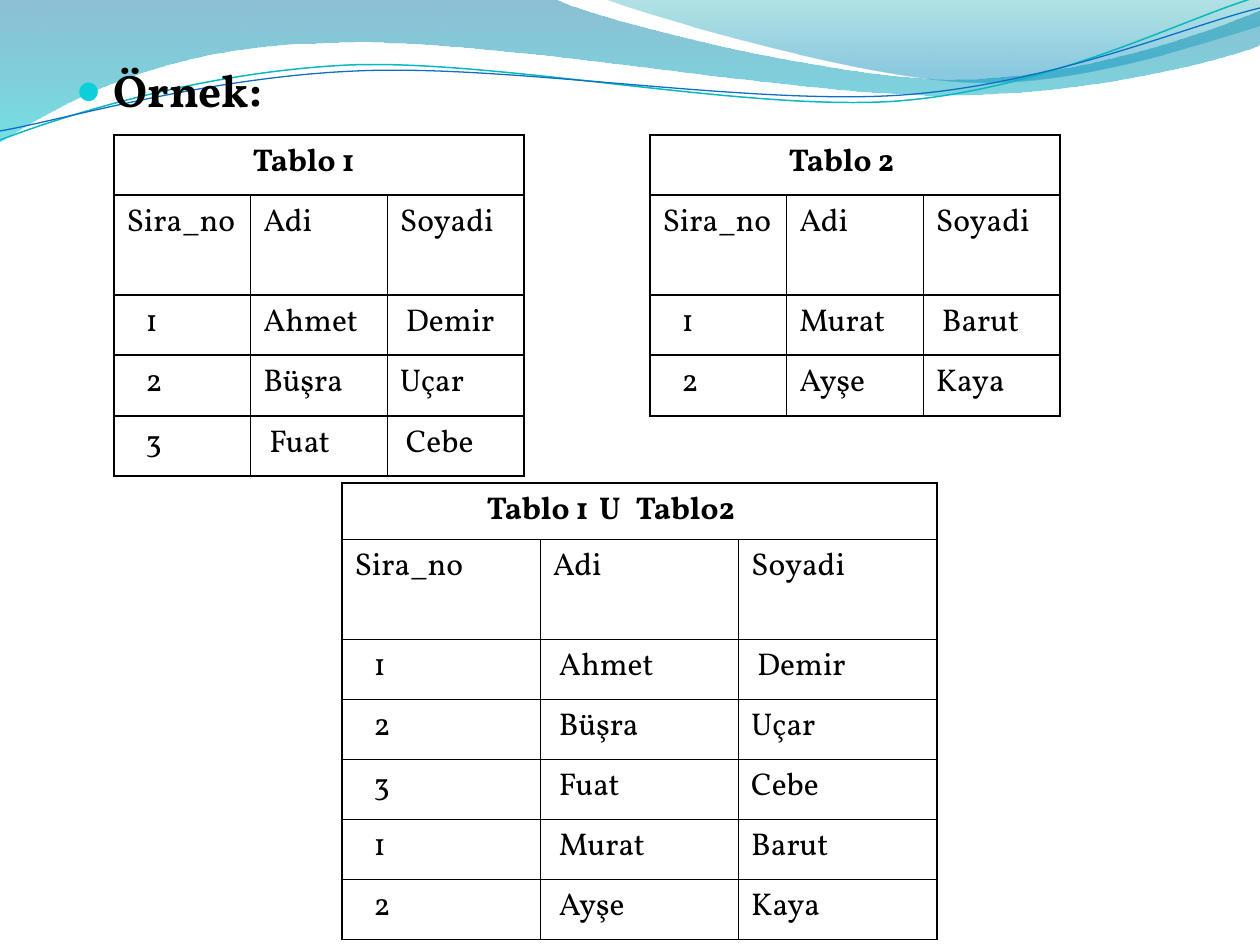
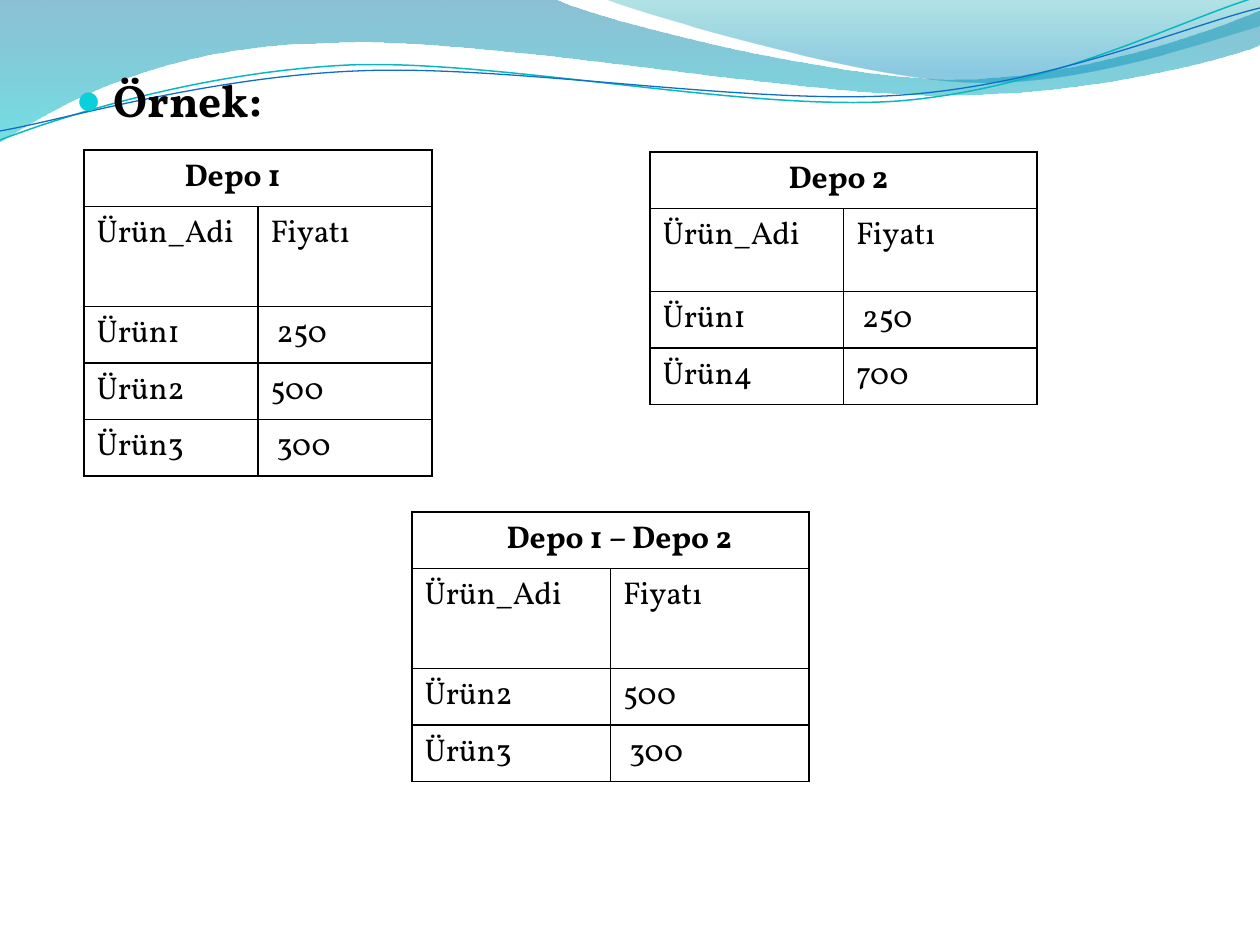
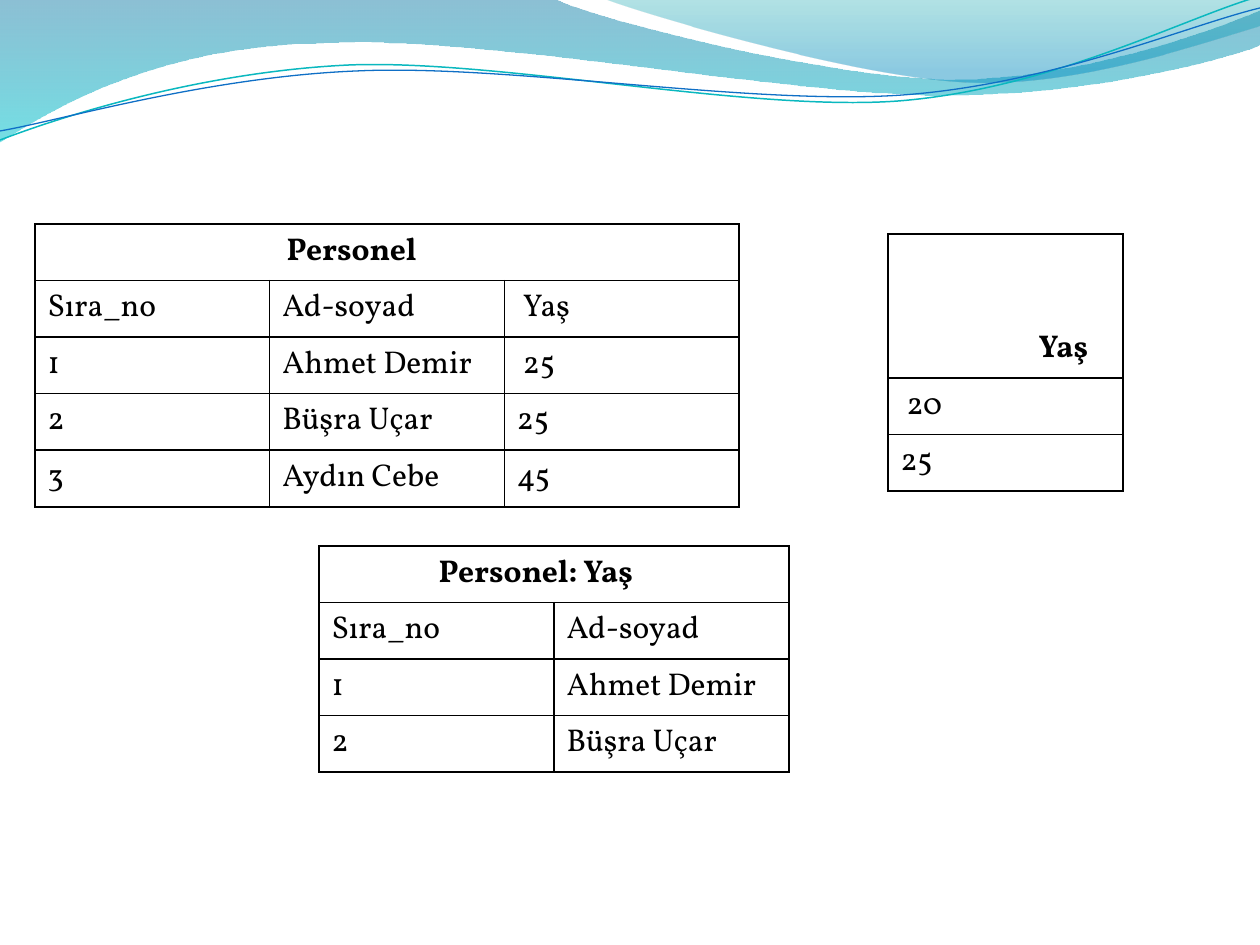
import dataclasses
import pptx
import pptx.dml.color
import pptx.enum.text
import pptx.oxml
import pptx.oxml.ns
import pptx.util

EMU_PER_PX = 914400 / 126
SLIDE_SIZE = (1260, 945)
NUDGE = 6
NUMBER_INDENT = 19
UNION = " U "


@dataclasses.dataclass(frozen=True)
class Theme:
    font: str = "Vollkorn"
    heading_size: int = 26
    table_size: int = 18
    text: str = "000000"
    bullet: str = "0BD0D9"
    border_width: int = 12700
    union_spacing: int = 240


THEME = Theme()

WAVES = [
    {
        "start": (0, 0),
        "segments": [
            [(554, -1)],
            [(600, 21), (837, 79), (955, 79)],
            [(1075, 79), (1207, 33), (1260, 11)],
            [(1261, 45)],
            [(1239, 55), (1096, 96), (940, 95)],
            [(784, 95), (481, 35), (324, 43)],
            [(163, 45), (58, 105), (-1, 142)],
        ],
        "gradient": [(0, "0074A1", 45), (1, "00C6CF", 55)],
    },
    {
        "start": (604, -1),
        "segments": [
            [(641, 14), (859, 78), (969, 82)],
            [(1079, 87), (1211, 40), (1260, 26)],
            [(1260, 0)],
        ],
        "gradient": [(0, "00A1A9", 30), (0.8, "008BBF", 45)],
    },
    {
        "start": (0, 140),
        "segments": [
            [(60, 117), (199, 72), (349, 65)],
            [(498, 59), (747, 112), (898, 101)],
            [(1050, 89), (1182, 19), (1257, -3)],
        ],
        "line": ("0AB8BF", 0.85),
    },
    {
        "start": (0, 131),
        "segments": [
            [(59, 121), (207, 77), (357, 71)],
            [(508, 64), (752, 106), (903, 95)],
            [(1053, 84), (1186, 26), (1260, 8)],
        ],
        "line": ("0F6FC6", 0.75),
    },
]


def numbered(number):
    return (str(number), NUMBER_INDENT)


def nudged(text):
    return (text, NUDGE)


PERSON_COLUMNS = ["Sira_no", "Adi", "Soyadi"]
PRODUCT_COLUMNS = ["Ürün_Adi", "Fiyatı"]

SLIDES = [
    {
        "heading": ("Örnek:", (63, 56, 1134, 789)),
        "tables": [
            {
                "title": ("Tablo 1", 126),
                "at": (114, 135, 410),
                "heights": [60, 100, 60, 61, 60],
                "rows": [
                    PERSON_COLUMNS,
                    [numbered(1), "Ahmet", nudged("Demir")],
                    [numbered(2), "Büşra", "Uçar"],
                    [numbered(3), nudged("Fuat"), nudged("Cebe")],
                ],
            },
            {
                "title": ("Tablo 2", 126),
                "at": (650, 135, 410),
                "heights": [60, 100, 60, 61],
                "rows": [
                    PERSON_COLUMNS,
                    [numbered(1), "Murat", nudged("Barut")],
                    [numbered(2), "Ayşe", "Kaya"],
                ],
            },
            {
                "title": ("Tablo 1 U Tablo2", 132),
                "at": (342, 483, 595),
                "heights": [56, 100, 60, 60, 60, 60, 60],
                "rows": [
                    PERSON_COLUMNS,
                    [numbered(1), nudged("Ahmet"), nudged("Demir")],
                    [numbered(2), nudged("Büşra"), "Uçar"],
                    [numbered(3), nudged("Fuat"), "Cebe"],
                    [numbered(1), nudged("Murat"), "Barut"],
                    [numbered(2), nudged("Ayşe"), "Kaya"],
                ],
            },
        ],
    },
    {
        "heading": ("Örnek:", (63, 66, 1134, 779)),
        "tables": [
            {
                "title": ("Depo 1", 88),
                "at": (84, 150, 348),
                "heights": [56, 100, 56, 56, 56],
                "rows": [
                    PRODUCT_COLUMNS,
                    ["Ürün1", nudged("250")],
                    ["Ürün2", "500"],
                    ["Ürün3", nudged("300")],
                ],
            },
            {
                "title": ("Depo 2", 126),
                "at": (650, 152, 387),
                "heights": [56, 83, 56, 56],
                "rows": [
                    PRODUCT_COLUMNS,
                    ["Ürün1", nudged("250")],
                    ["Ürün4", "700"],
                ],
            },
            {
                "title": ("Depo 1 – Depo 2", 82),
                "at": (412, 512, 397),
                "heights": [56, 100, 56, 56],
                "rows": [
                    PRODUCT_COLUMNS,
                    ["Ürün2", "500"],
                    ["Ürün3", nudged("300")],
                ],
            },
        ],
    },
    {
        "tables": [
            {
                "title": ("Personel", 239),
                "at": (35, 224, 704),
                "heights": [56, 56, 56, 56, 56],
                "rows": [
                    ["Sıra_no", "Ad-soyad", nudged("Yaş")],
                    ["1", "Ahmet Demir", nudged("25")],
                    ["2", "Büşra Uçar", "25"],
                    ["3", "Aydın Cebe", "45"],
                ],
            },
            {
                "title": ("Yaş", 138),
                "at": (888, 234, 235),
                "heights": [144, 56, 56],
                "rows": [[nudged("20")], ["25"]],
            },
            {
                "title": ("Personel: Yaş", 107),
                "at": (319, 546, 470),
                "heights": [56, 56, 56, 56],
                "rows": [
                    ["Sıra_no", "Ad-soyad"],
                    ["1", "Ahmet Demir"],
                    ["2", "Büşra Uçar"],
                ],
            },
        ],
    },
]


def px(length):
    return pptx.util.Emu(round(length * EMU_PER_PX))


def rgb(value):
    return pptx.dml.color.RGBColor.from_string(value)


def new_xml(tag, **attributes):
    element = pptx.oxml.parse_xml(f"<a:{tag} {pptx.oxml.ns.nsdecls('a')}/>")
    for name, value in attributes.items():
        element.set(name, str(value))
    return element


def add_xml(parent, tag, **attributes):
    element = new_xml(tag, **attributes)
    parent.append(element)
    return element


def set_font(paragraph, size, bold):
    paragraph.font.name = THEME.font
    paragraph.font.size = pptx.util.Pt(size)
    paragraph.font.bold = bold
    paragraph.font.color.rgb = rgb(THEME.text)


def bend_segments(shape, segments):
    lines = iter(list(shape.element.iter(pptx.oxml.ns.qn("a:lnTo"))))
    for segment in segments:
        group = [next(lines) for _ in segment]
        if len(group) == 3:
            curve = new_xml("cubicBezTo")
            group[0].addprevious(curve)
            for line in group:
                curve.append(line[0])
                line.getparent().remove(line)


def add_wave(shapes, wave):
    vertices = [(px(x), px(y)) for segment in wave["segments"] for x, y in segment]
    builder = shapes.build_freeform(*map(px, wave["start"]))
    builder.add_line_segments(vertices, close="gradient" in wave)
    shape = builder.convert_to_shape()
    bend_segments(shape, wave["segments"])
    shape.shadow.inherit = False
    if "gradient" in wave:
        shape.line.fill.background()
        shape.fill.gradient()
        shape.fill.gradient_angle = 270
        for stop, (position, color, _) in zip(shape.fill.gradient_stops, wave["gradient"]):
            stop.position = position
            stop.color.rgb = rgb(color)
        colors = shape.element.spPr.iter(pptx.oxml.ns.qn("a:srgbClr"))
        for element, (_, _, opacity) in zip(colors, wave["gradient"]):
            add_xml(element, "alpha", val=opacity * 1000)
    else:
        color, width = wave["line"]
        shape.fill.background()
        shape.line.color.rgb = rgb(color)
        shape.line.width = pptx.util.Pt(width)
    return shape


def add_waves_to_master(presentation, slide):
    master_tree = presentation.slide_master.shapes.element
    for index, wave in enumerate(WAVES):
        shape = add_wave(slide.shapes, wave)
        shape.element.nvSpPr.cNvPr.id = 100 + index
        master_tree.insert(2 + index, shape.element)


def format_heading(slide, text, box):
    title = slide.shapes.title.element
    title.getparent().remove(title)
    body = slide.placeholders[1]
    body.left, body.top, body.width, body.height = map(px, box)
    body.text_frame.vertical_anchor = pptx.enum.text.MSO_ANCHOR.TOP
    paragraph = body.text_frame.paragraphs[0]
    paragraph.text = text
    properties = paragraph._p.get_or_add_pPr()
    properties.set("marL", str(px(38)))
    properties.set("indent", str(px(-38)))
    add_xml(add_xml(properties, "buClr"), "srgbClr", val=THEME.bullet)
    add_xml(properties, "buSzPct", val=95000)
    add_xml(properties, "buChar", char="●")
    paragraph.space_before = pptx.util.Pt(0)
    set_font(paragraph, THEME.heading_size, True)


def draw_borders(frame):
    for cell in frame.element.iter(pptx.oxml.ns.qn("a:tc")):
        properties = cell.get_or_add_tcPr()
        for side in ("lnL", "lnR", "lnT", "lnB"):
            border = add_xml(properties, side, w=THEME.border_width)
            add_xml(add_xml(border, "solidFill"), "srgbClr", val=THEME.text)


def fill_cell(cell, content, bold):
    text, indent = content if isinstance(content, tuple) else (content, 0)
    paragraph = cell.text_frame.paragraphs[0]
    if indent:
        paragraph._p.get_or_add_pPr().set("marL", str(px(indent)))
    for part in filter(None, text.partition(UNION)):
        run = paragraph.add_run()
        run.text = part
        if part == UNION:
            run._r.get_or_add_rPr().set("spc", str(THEME.union_spacing))
    set_font(paragraph, THEME.table_size, bold)


def add_relation(slide, relation):
    left, top, width = relation["at"]
    heights, rows = relation["heights"], relation["rows"]
    column_count = len(rows[0])
    frame = slide.shapes.add_table(
        len(heights), column_count, px(left), px(top), px(width), px(sum(heights)))
    table = frame.table
    table.first_row = table.horz_banding = False
    for column in table.columns:
        column.width = px(width / column_count)
    for row, height in zip(table.rows, heights):
        row.height = px(height)
    draw_borders(frame)
    for cell in table.iter_cells():
        cell.fill.background()
    title_cell = table.cell(0, 0)
    if column_count > 1:
        title_cell.merge(table.cell(0, column_count - 1))
    else:
        title_cell.vertical_anchor = pptx.enum.text.MSO_ANCHOR.BOTTOM
    fill_cell(title_cell, relation["title"], True)
    for row_index, row in enumerate(rows, start=1):
        for column_index, content in enumerate(row):
            fill_cell(table.cell(row_index, column_index), content, False)


def main():
    presentation = pptx.Presentation()
    presentation.slide_width, presentation.slide_height = map(px, SLIDE_SIZE)
    for index, content in enumerate(SLIDES):
        layout = presentation.slide_layouts[1 if "heading" in content else 6]
        slide = presentation.slides.add_slide(layout)
        if index == 0:
            add_waves_to_master(presentation, slide)
        if "heading" in content:
            format_heading(slide, *content["heading"])
        for relation in content["tables"]:
            add_relation(slide, relation)
    presentation.save("out.pptx")


if __name__ == "__main__":
    main()
